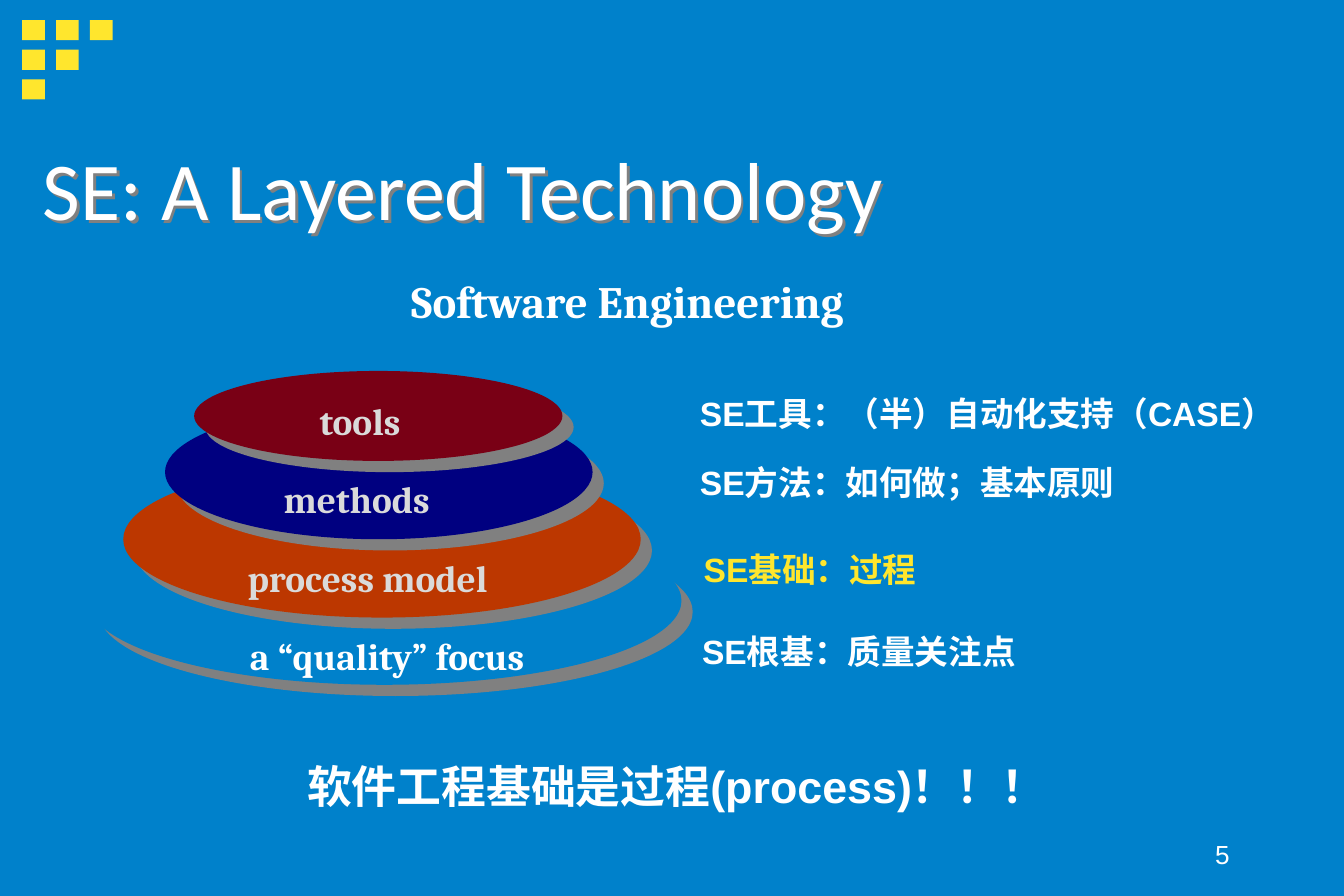
from typing import NamedTuple

from lxml.etree import SubElement
from pptx import Presentation
from pptx.dml.color import RGBColor
from pptx.enum.shapes import MSO_SHAPE
from pptx.enum.text import MSO_ANCHOR, MSO_AUTO_SIZE, PP_ALIGN
from pptx.oxml.ns import qn
from pptx.util import Cm, Pt

WHITE = "FFFFFF"
YELLOW = "FFE62D"
BLUE = "0081CB"
SILVER = "DADADA"
GREY = "808080"


class Box(NamedTuple):
    left: float
    top: float
    width: float
    height: float

    def lengths(self) -> list[Cm]:
        return [Cm(value) for value in self]


class Layer(NamedTuple):
    box: Box
    fill: str


class Label(NamedTuple):
    text: str
    box: Box
    size: int
    font: str = "Arial"
    color: str = WHITE
    bold: bool = True
    align: PP_ALIGN = PP_ALIGN.LEFT
    spacing: float = 1.0
    wrap: bool = True
    anchor: MSO_ANCHOR = MSO_ANCHOR.TOP
    fit: MSO_AUTO_SIZE = MSO_AUTO_SIZE.SHAPE_TO_FIT_TEXT


LAYERS = [
    Layer(Box(1.65, 9.76, 11.23, 3.18), BLUE),
    Layer(Box(2.33, 8.71, 9.78, 2.96), "BC3700"),
    Layer(Box(3.12, 7.65, 8.08, 2.54), "000080"),
    Layer(Box(3.67, 7.01, 6.96, 1.7), "790015"),
]

TITLE = Label("SE: A Layered Technology", Box(0.63, 2.54, 16.46, 2.01), 44,
              "Calibri", bold=False)

LABELS = [
    Label("5", Box(18.21, 15.44, 5.28, 1.12), 14, bold=False,
          align=PP_ALIGN.RIGHT, anchor=MSO_ANCHOR.BOTTOM, fit=MSO_AUTO_SIZE.NONE),
    Label("Software Engineering", Box(7.52, 5.16, 8.94, 1.17), 24, "Cambria",
          spacing=0.9, wrap=False),
    Label("a “quality” focus", Box(3.22, 11.84, 8.2, 1.09), 20, "Cambria",
          align=PP_ALIGN.CENTER),
    Label("process model", Box(3.61, 10.36, 6.68, 1.09), 20, "Cambria", SILVER,
          align=PP_ALIGN.CENTER),
    Label("methods", Box(5.11, 8.88, 3.86, 1.09), 20, "Cambria", SILVER),
    Label("tools", Box(5.79, 7.4, 2.84, 1.09), 20, "Cambria", SILVER),
    Label("SE根基：质量关注点", Box(13.02, 11.88, 10.49, 0.94), 18, spacing=0.9),
    Label("SE基础：过程", Box(13.05, 10.34, 10.49, 0.94), 18, color=YELLOW, spacing=0.9),
    Label("SE方法：如何做；基本原则", Box(12.98, 8.69, 10.49, 0.94), 18, spacing=0.9),
    Label("SE工具：（半）自动化支持（CASE）", Box(12.98, 7.38, 11.63, 1.63), 18, spacing=0.9),
    Label("软件工程基础是过程(process)！！！", Box(3.39, 14.33, 18.8, 1.17), 24,
          align=PP_ALIGN.CENTER, spacing=0.9),
]


def rgb(color: str) -> RGBColor:
    return RGBColor.from_string(color)


def add_shadow(shape, distance: float) -> None:
    shape.shadow.inherit = False
    effects = shape._element.spPr.find(qn("a:effectLst"))
    shadow = SubElement(effects, qn("a:outerShdw"), dist=str(Pt(distance)),
                        dir="2700000", algn="ctr", rotWithShape="0")
    SubElement(shadow, qn("a:srgbClr"), val=GREY)


def draw_shape(slide, kind: MSO_SHAPE, box: Box, fill: str):
    shape = slide.shapes.add_shape(kind, *box.lengths())
    shape.shadow.inherit = False
    shape.fill.solid()
    shape.fill.fore_color.rgb = rgb(fill)
    shape.line.fill.background()
    return shape


def write_label(shape, label: Label) -> None:
    shape.left, shape.top, shape.width, shape.height = label.box.lengths()
    frame = shape.text_frame
    frame.text = label.text
    frame.word_wrap = label.wrap
    frame.auto_size = label.fit
    frame.vertical_anchor = label.anchor
    paragraph = frame.paragraphs[0]
    paragraph.alignment = label.align
    paragraph.line_spacing = label.spacing
    font = paragraph.font
    font.name = label.font
    font.size = Pt(label.size)
    font.bold = label.bold
    font.color.rgb = rgb(label.color)


def draw_title(slide) -> None:
    title = slide.shapes.title
    write_label(title, TITLE)
    frame = title.text_frame
    frame.margin_left = frame.margin_right = Cm(0.18)
    frame.margin_top = frame.margin_bottom = Cm(0.08)
    title.fill.background()
    add_shadow(title, 2)


def draw_corner(slide) -> None:
    for row in range(3):
        for column in range(3 - row):
            square = Box(0.42 + 0.64 * column, 0.38 + 0.56 * row, 0.43, 0.38)
            draw_shape(slide, MSO_SHAPE.RECTANGLE, square, YELLOW)


def main() -> None:
    deck = Presentation()
    deck.slide_width, deck.slide_height = Cm(25.4), Cm(16.93)
    slide = deck.slides.add_slide(deck.slide_layouts[5])
    slide.background.fill.solid()
    slide.background.fill.fore_color.rgb = rgb(BLUE)

    draw_corner(slide)
    draw_title(slide)
    for layer in LAYERS:
        ellipse = draw_shape(slide, MSO_SHAPE.OVAL, layer.box, layer.fill)
        add_shadow(ellipse, 8.5)
    for label in LABELS:
        write_label(slide.shapes.add_textbox(*label.box.lengths()), label)

    deck.save("out.pptx")


if __name__ == "__main__":
    main()
